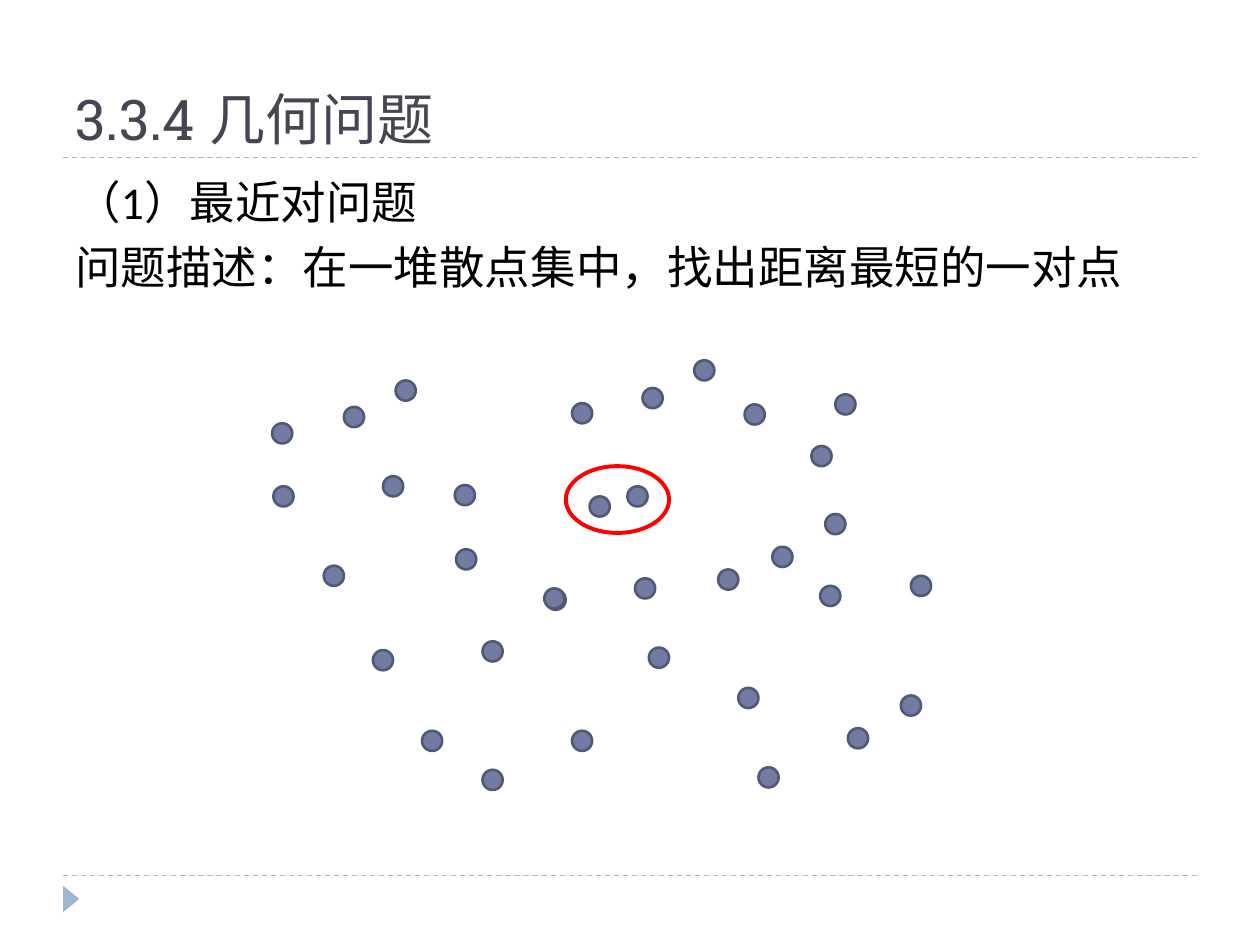
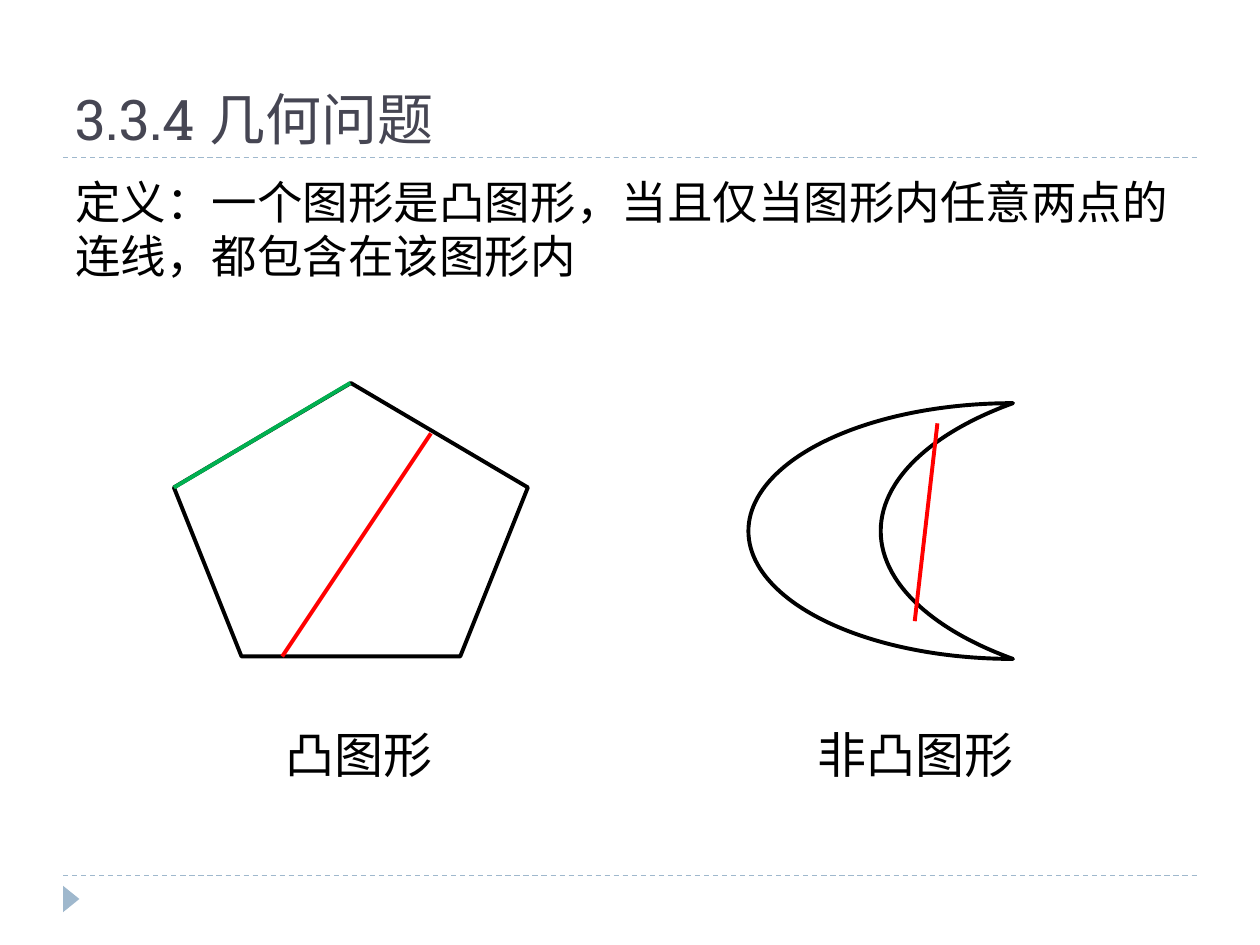
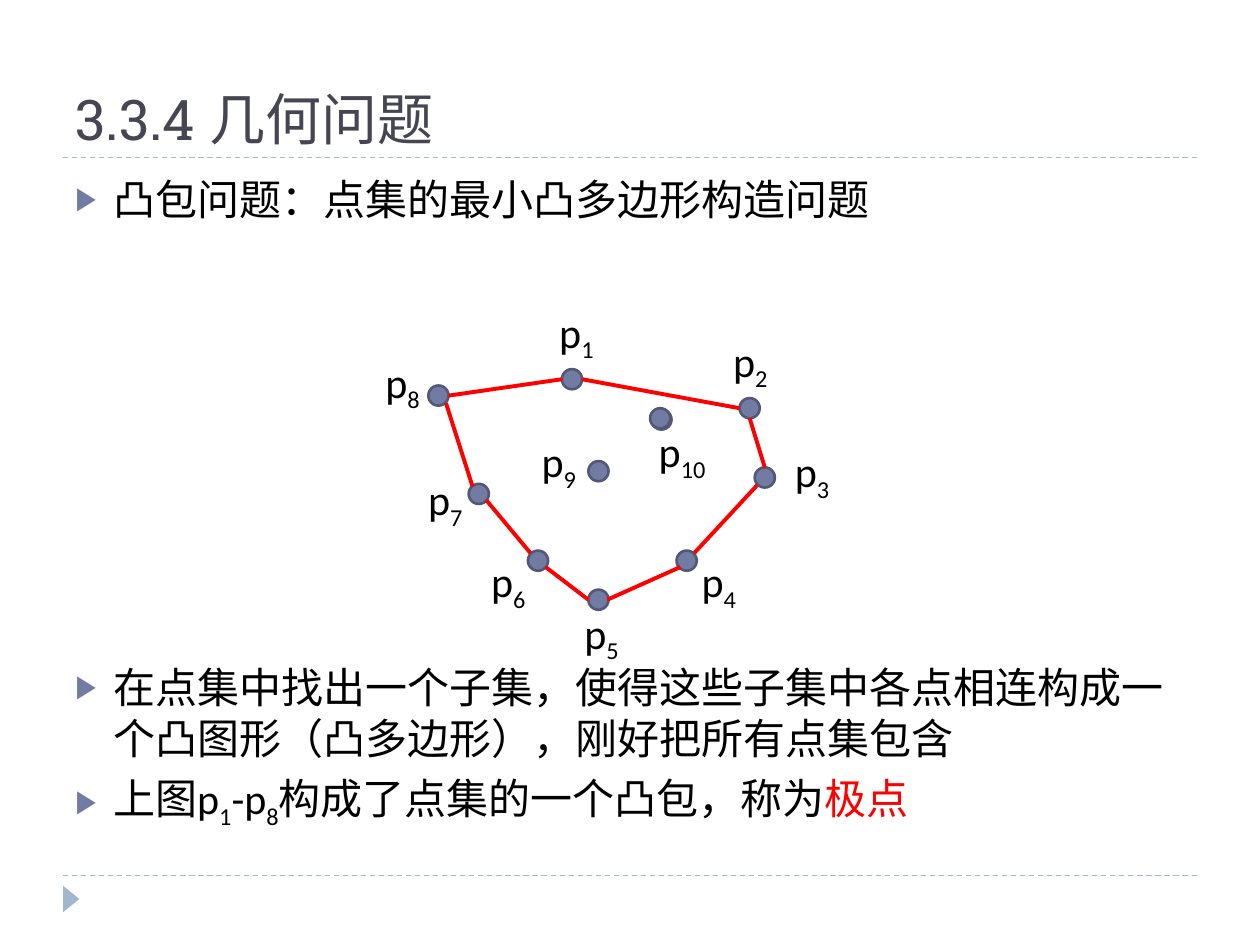
from lxml import etree
from pptx import Presentation
from pptx.dml.color import RGBColor
from pptx.enum import dml, shapes, text
from pptx.oxml import ns
from pptx.util import Inches, Pt

BLACK = RGBColor(0, 0, 0)
RED = RGBColor(0xFF, 0, 0)
GREEN = RGBColor(0, 0xB0, 0x50)
SLATE = RGBColor(0x46, 0x46, 0x53)
PALE = RGBColor(0x9F, 0xB8, 0xCD)
BLUE = RGBColor(0x72, 0x7C, 0xA3)
NAVY = RGBColor(0x52, 0x59, 0x77)
FORM = shapes.MSO_SHAPE
DOT = 0.16


def draw(slide, kind, at, fill=None, edge=None, width=2.25):
    shape = slide.shapes.add_shape(kind, *map(Inches, at))
    shape.shadow.inherit = False
    if fill is None:
        shape.fill.background()
    else:
        shape.fill.solid()
        shape.fill.fore_color.rgb = fill
    if edge is None:
        shape.line.fill.background()
    else:
        shape.line.color.rgb = edge
        shape.line.width = Pt(width)
    return shape


def write(slide, at, paras, size, font="Calibri", color=BLACK, wrap=True):
    frame = slide.shapes.add_textbox(*map(Inches, at)).text_frame
    frame.word_wrap = wrap
    if not wrap:
        frame.auto_size = text.MSO_AUTO_SIZE.SHAPE_TO_FIT_TEXT
    for i, runs in enumerate(paras):
        para = frame.add_paragraph() if i else frame.paragraphs[0]
        if i:
            para.space_before = Pt(6)
        for words, base, tint in runs:
            run = para.add_run()
            run.text = words
            run.font.size = Pt(size)
            run.font.color.rgb = tint or color
            run.font.name = font
            props = run._r.get_or_add_rPr()
            etree.SubElement(props, ns.qn("a:ea")).set("typeface", font)
            if base:
                props.set("baseline", str(base * 1000))
    return frame


RULES = [(0.5, y, 9.5, y, PALE) for y in (6.95, 1.25)]

near = [
    (4.33, 4.68), (4.98, 3.86), (3.62, 4.36), (3.61, 3.85), (2.73, 3.23),
    (3.04, 3.78), (2.57, 4.49), (2.17, 3.86), (3.14, 3.02), (2.16, 3.36),
    (3.83, 5.09), (4.32, 4.67), (5.04, 4.59), (4.54, 5.8), (3.83, 6.11),
    (3.35, 5.8), (2.96, 5.16), (5.1, 3.08), (5.91, 3.21), (6.44, 3.54),
    (6.63, 3.13), (6.55, 4.08), (6.13, 4.34), (5.51, 2.86), (4.54, 3.2),
    (5.7, 4.52), (5.86, 5.46), (6.51, 4.65), (7.23, 4.57), (7.15, 5.52),
    (6.73, 5.78), (6.02, 6.09), (5.15, 5.14), (4.68, 3.94),
]
hull = [
    (5.17, 3.25), (4.46, 2.93), (3.4, 3.06), (4.67, 3.66), (5.16, 3.24),
    (5.87, 3.16), (5.37, 4.37), (4.67, 4.68), (4.19, 4.37), (3.72, 3.84),
    (5.99, 3.71),
]
chords = [
    (3.42, 3.44, 2.24, 5.21, RED),
    (2.78, 3.04, 1.38, 3.87, GREEN),
    (7.44, 3.36, 7.26, 4.93, RED),
]
sides = [
    (3.56, 3.14, 4.46, 3.01, RED), (4.62, 3.01, 5.87, 3.24, RED),
    (5.95, 3.32, 6.07, 3.71, RED), (6.01, 3.85, 5.51, 4.39, RED),
    (5.4, 4.5, 4.82, 4.76, RED), (4.67, 4.76, 4.33, 4.5, RED),
    (4.21, 4.39, 3.86, 3.97, RED), (3.75, 3.86, 3.54, 3.2, RED),
]
forms = [
    (FORM.REGULAR_PENTAGON, (1.38, 3.04, 2.81, 2.17), BLACK),
    (FORM.MOON, (5.94, 3.2, 2.1, 2.03), BLACK),
]
ring = [(FORM.OVAL, (4.49, 3.7, 0.82, 0.53), RED)]

pair = [
    [("（1）最近对问题", 0, None)],
    [("问题描述：在一堆散点集中，找出距离最短的一对点", 0, None)],
]
convex = [
    [("定义：一个图形是凸图形，当且仅当图形内任意两点的连线，都包含在该图形内", 0, None)],
]
wrapped = [
    [("凸包问题：点集的最小凸多边形构造问题", 0, None)],
    [("在点集中找出一个子集，使得这些子集中各点相连构成一个凸图形（凸多边形），刚好把所有点集包含", 0, None)],
    [
        ("上图p", 0, None), ("1", -25, None), ("-p", 0, None), ("8", -25, None),
        ("构成了点集的一个凸包，称为", 0, None), ("极点", 0, RED),
    ],
]

deck = Presentation()
deck.slide_width = Inches(10)
deck.slide_height = Inches(7.5)

pages = []
for paras, size, dots, lines, outlines in (
    (pair, 26, near, [], ring),
    (convex, 26, [], chords, forms),
    (wrapped, 24, hull, sides, []),
):
    slide = deck.slides.add_slide(deck.slide_layouts[6])
    mark = draw(slide, FORM.ISOSCELES_TRIANGLE, (0.46, 7.07, 0.21, 0.13), PALE)
    mark.rotation = 90
    title = write(slide, (0.5, 0.17, 9, 1.08), [[("3.3.4 几何问题", 0, None)]], 32, "Roboto Slab", SLATE)
    title.vertical_anchor = text.MSO_ANCHOR.BOTTOM
    body = write(slide, (0.5, 1.33, 9, 5.4), paras, size)
    for x, y in dots:
        draw(slide, FORM.OVAL, (x, y, DOT, DOT), BLUE, NAVY, 1.5)
    for kind, at, edge in outlines:
        draw(slide, kind, at, None, edge)
    for *ends, color in RULES + lines:
        link = slide.shapes.add_connector(shapes.MSO_CONNECTOR.STRAIGHT, *map(Inches, ends))
        link.line.color.rgb = color
        link.line.width = Pt(2.25)
        if color == PALE:
            link.line.width = Pt(0.75)
            link.line.dash_style = dml.MSO_LINE.DASH
        etree.SubElement(link._element.spPr, ns.qn("a:effectLst"))
    pages.append((slide, body))

slide = pages[1][0]
for words, x, width in (("凸图形", 2.17, 1.38), ("非凸图形", 6.39, 1.77)):
    write(slide, (x, 5.7, width, 0.57), [[(words, 0, None)]], 28, "Noto Sans CJK JP", wrap=False)

slide, body = pages[2]
for para in body.paragraphs:
    props = para._p.get_or_add_pPr()
    props.set("marL", str(Inches(0.3)))
    props.set("indent", str(-Inches(0.3)))
    tint = etree.SubElement(props, ns.qn("a:buClr"))
    etree.SubElement(tint, ns.qn("a:srgbClr")).set("val", str(BLUE))
    etree.SubElement(props, ns.qn("a:buSzPct")).set("val", "76000")
    etree.SubElement(props, ns.qn("a:buFont")).set("typeface", "Calibri")
    etree.SubElement(props, ns.qn("a:buChar")).set("char", "▶")
body.paragraphs[1].space_before = Pt(250)

spots = [
    (4.34, 2.38), (5.72, 2.61), (6.21, 3.49), (5.47, 4.36), (4.54, 4.77),
    (3.8, 4.36), (3.3, 3.71), (2.96, 2.78), (4.2, 3.41), (5.13, 3.33),
]
for n, (x, y) in enumerate(spots, 1):
    width = 0.47 if n < 10 else 0.57
    write(slide, (x, y, width, 0.56), [[("p", 0, None), (str(n), -25, None)]], 24, wrap=False)

deck.save("out.pptx")
